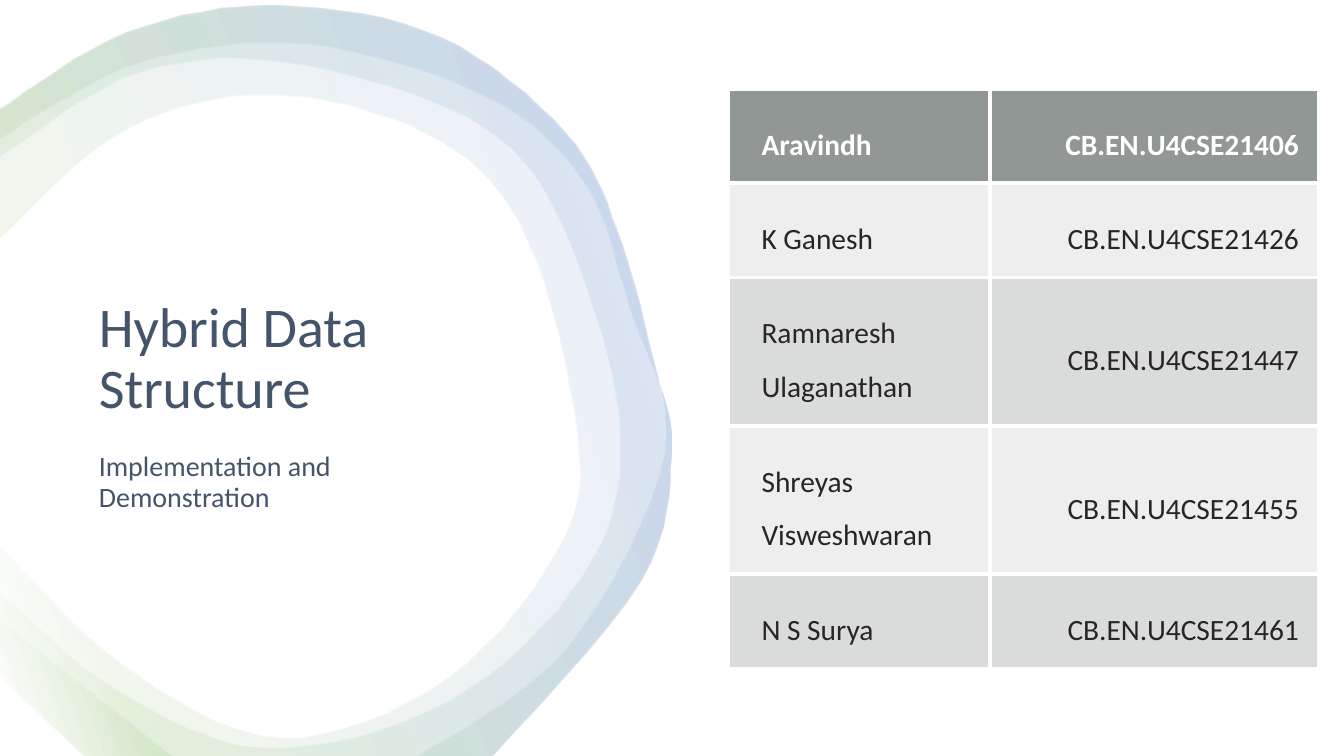
from dataclasses import dataclass

from lxml.etree import SubElement
from pptx import Presentation
from pptx.dml.color import RGBColor
from pptx.enum.text import MSO_ANCHOR, MSO_AUTO_SIZE, PP_ALIGN
from pptx.oxml import parse_xml
from pptx.oxml.ns import nsdecls, qn
from pptx.util import Pt

FONT = "Calibri"
COLOURS = {
    "white": "FFFFFF", "green": "70AD47", "blue": "4472C4", "slate": "44546A",
    "header": "636B68", "band": "878E8B", "ink": "262626",
}
GRADIENT_STOPS = [(2, "white"), (16, "green"), (85, "blue"), (100, "white")]
GRADIENT_ANGLE = 340
RIBBON_OPACITY = 10
CURVE_STEPS = 8

Point = tuple[float, float]
Strand = list[Point]  # a smooth run of points; strands are joined by straight lines


@dataclass
class Ribbon:
    inner_edge: list[Strand]


@dataclass
class Heading:
    index: int
    text: str
    top: float
    height: float
    size: float
    anchor: MSO_ANCHOR


@dataclass
class Member:
    name: str
    roll_number: str
    fill: str = "band"
    opacity: int = 15
    height: float = 67


# All ribbons share the outer edge of the ring
OUTER_EDGE = [
    [(0, 78), (91, 23), (200, 4), (315, 27), (404, 95), (441, 165), (469, 265), (480, 325),
     (458, 415), (352, 540)],
    [(60, 540), (0, 483)],
]
RIBBONS = [
    Ribbon([[(0, 423), (84, 493), (190, 534), (320, 501), (417, 410), (443, 310), (406, 171),
             (345, 91), (212, 46), (100, 52), (0, 112)]]),
    Ribbon([[(0, 390), (88, 475), (200, 527), (320, 484), (404, 382), (410, 292), (371, 159),
             (305, 96), (194, 68), (90, 93), (0, 170)]]),
    Ribbon([[(0, 443), (123, 540)],
            [(298, 540), (405, 463), (475, 323), (449, 218), (418, 132), (350, 71), (221, 32),
             (100, 45), (0, 99)]]),
]
HEADINGS = [
    Heading(0, "Hybrid Data Structure", 210.2, 140.4, 40, MSO_ANCHOR.TOP),
    Heading(1, "Implementation and Demonstration", 295.2, 74.9, 20, MSO_ANCHOR.BOTTOM),
]
MEMBERS = [
    Member("Aravindh", "CB.EN.U4CSE21406", fill="header", opacity=70),
    Member("K Ganesh", "CB.EN.U4CSE21426"),
    Member("Ramnaresh Ulaganathan", "CB.EN.U4CSE21447", opacity=30, height=106),
    Member("Shreyas Visweshwaran", "CB.EN.U4CSE21455", height=106),
    Member("N S Surya", "CB.EN.U4CSE21461", opacity=30),
]
COLUMN_WIDTHS = [187.2, 235]


def rgb(colour: str) -> RGBColor:
    return RGBColor.from_string(COLOURS[colour])


def smooth(strand: Strand) -> Strand:
    """Catmull-Rom curve through the points of a strand."""
    if len(strand) == 2:
        return strand
    padded = [strand[0], *strand, strand[-1]]
    curve = [strand[0]]
    for a, b, c, d in zip(padded, padded[1:], padded[2:], padded[3:]):
        for step in range(1, CURVE_STEPS + 1):
            t = step / CURVE_STEPS
            curve.append(tuple(
                q + t / 2 * (r - p + t * (2 * p - 5 * q + 4 * r - s + t * (3 * (q - r) + s - p)))
                for p, q, r, s in zip(a, b, c, d)))
    return curve


def gradient_fill():
    stops = "".join(
        f'<a:gs pos="{position * 1000}"><a:srgbClr val="{COLOURS[colour]}">'
        f'<a:alpha val="{RIBBON_OPACITY * 1000}"/></a:srgbClr></a:gs>'
        for position, colour in GRADIENT_STOPS)
    return parse_xml(f'<a:gradFill {nsdecls("a")}><a:gsLst>{stops}</a:gsLst>'
                     f'<a:lin ang="{GRADIENT_ANGLE * 60000}" scaled="0"/></a:gradFill>')


def draw_ribbon(page, ribbon: Ribbon, layer: int) -> None:
    strands = OUTER_EDGE + ribbon.inner_edge
    points = [point for strand in strands for point in smooth(strand)]
    builder = page.shapes.build_freeform(*points[0], scale=Pt(1))
    builder.add_line_segments(points[1:], close=True)
    shape = builder.convert_to_shape()
    shape.shadow.inherit = False
    shape.line.fill.background()
    shape._element.spPr.find(qn("a:custGeom")).addnext(gradient_fill())
    page.shapes._spTree.insert(2 + layer, shape._element)  # behind the text


def add_span(para, text: str, size: float, colour: str, bold: bool = False) -> None:
    span = para.add_run()
    span.text = text
    span.font.name = FONT
    span.font.size = Pt(size)
    span.font.bold = bold
    span.font.color.rgb = rgb(colour)


def fill_heading(page, heading: Heading) -> None:
    box = page.placeholders[heading.index]
    box.left, box.top, box.width, box.height = map(Pt, (63.4, heading.top, 288, heading.height))
    frame = box.text_frame
    frame.word_wrap = True
    frame.auto_size = MSO_AUTO_SIZE.NONE
    frame.vertical_anchor = heading.anchor
    para = frame.paragraphs[0]
    para.alignment = PP_ALIGN.LEFT
    para.line_spacing = 0.9
    para.space_before = Pt(0)
    add_span(para, heading.text, heading.size, "slate")


def style_cell(cell, member: Member) -> None:
    cell.vertical_anchor = MSO_ANCHOR.MIDDLE
    cell.margin_left = Pt(24)
    cell.margin_right = cell.margin_top = cell.margin_bottom = Pt(14.4)
    cell.fill.solid()
    cell.fill.fore_color.rgb = rgb(member.fill)
    properties = cell._tc.tcPr
    tint = properties.find(".//" + qn("a:srgbClr"))
    SubElement(tint, qn("a:alpha")).set("val", str(member.opacity * 1000))
    for place, side in enumerate(("lnL", "lnR", "lnT", "lnB")):
        properties.insert(place, parse_xml(
            f'<a:{side} {nsdecls("a")} w="{Pt(3)}"><a:solidFill>'
            f'<a:srgbClr val="{COLOURS["white"]}"/></a:solidFill></a:{side}>'))


def draw_members(page) -> None:
    height = sum(member.height for member in MEMBERS)
    table = page.shapes.add_table(len(MEMBERS), len(COLUMN_WIDTHS), Pt(520), Pt(63.4),
                                  Pt(sum(COLUMN_WIDTHS)), Pt(height)).table
    for column, width in zip(table.columns, COLUMN_WIDTHS):
        column.width = Pt(width)
    for number, (row, member) in enumerate(zip(table.rows, MEMBERS)):
        row.height = Pt(member.height)
        texts = (member.name, member.roll_number)
        for cell, text, side in zip(row.cells, texts, (PP_ALIGN.LEFT, PP_ALIGN.RIGHT)):
            style_cell(cell, member)
            para = cell.text_frame.paragraphs[0]
            para.alignment = side
            para.line_spacing = 1.5
            add_span(para, text, 21, "ink" if number else "white", bold=number == 0)


def main() -> None:
    deck = Presentation()
    deck.slide_width, deck.slide_height = Pt(960), Pt(540)
    page = deck.slides.add_slide(deck.slide_layouts[0])
    # Decorative ring
    for layer, ribbon in enumerate(RIBBONS):
        draw_ribbon(page, ribbon, layer)
    # Title and subtitle
    for heading in HEADINGS:
        fill_heading(page, heading)
    # Team table
    draw_members(page)
    deck.save("out.pptx")


if __name__ == "__main__":
    main()
